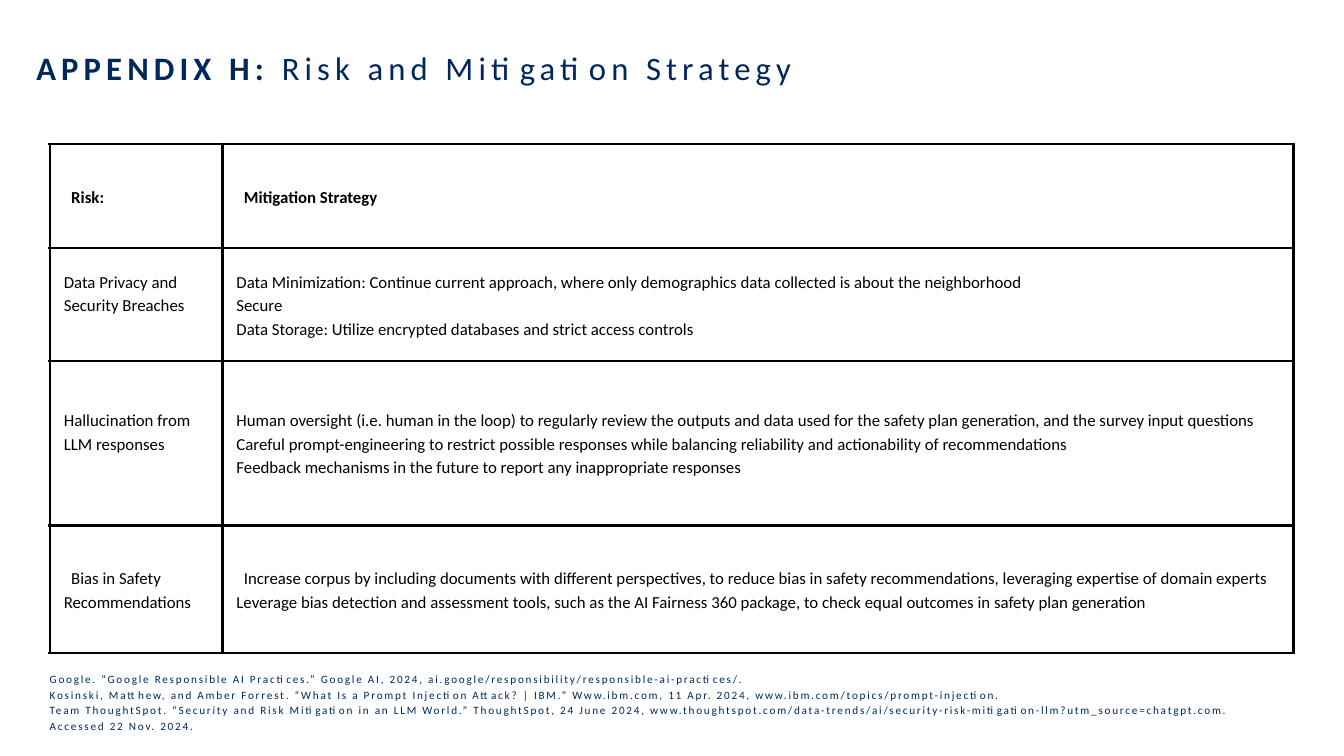
import pptx
import pptx.dml.color
import pptx.enum.text
import pptx.oxml
import pptx.util

PAGE_WIDTH, PAGE_HEIGHT = 20, 11.25
FONT = "Calibri"
NAVY, BLACK = "00285C", "000000"
DRAWING_NS = "http://schemas.openxmlformats.org/drawingml/2006/main"

# Regions as percentages of the slide: left, top, width, height
TITLE_BOX = (2.7, 5.51, 81.1, 5.69)
TABLE_BOX = (3.7, 19.02, 92.55, 67.38)
SOURCES_BOX = (3.7, 88.62, 90.65, 8.36)

# Risk table proportions and spacing
COLUMN_WEIGHTS = (2.57, 15.95)
ROW_WEIGHTS = (1.55, 1.68, 2.45, 1.9)
CELL_MARGIN = 0.21
LINE_PITCH = 25.2
FIRST_LINE_INDENT = 0.11
BORDER_POINTS = 3

RISKS = [
    ("Risk:", ["Mitigation Strategy"]),
    ("Data Privacy and Security Breaches", [
        "Data Minimization: Continue current approach, where only demographics data "
        "collected is about the neighborhood",
        "Secure",
        "Data Storage: Utilize encrypted databases and strict access controls",
    ]),
    ("Hallucination from LLM responses", [
        "Human oversight (i.e. human in the loop) to regularly review the outputs and data "
        "used for the safety plan generation, and the survey input questions",
        "Careful prompt-engineering to restrict possible responses while balancing "
        "reliability and actionability of recommendations",
        "Feedback mechanisms in the future to report any inappropriate responses",
    ]),
    ("Bias in Safety Recommendations", [
        "Increase corpus by including documents with different perspectives, to reduce bias "
        "in safety recommendations, leveraging expertise of domain experts",
        "Leverage bias detection and assessment tools, such as the AI Fairness 360 package, "
        "to check equal outcomes in safety plan generation",
    ]),
]
INDENTED_ROWS = (0, 3)
RAISED_LABEL_ROWS = (1, 2)

SOURCES = [
    "Google. “Google Responsible AI Practices.” Google AI, 2024, "
    "ai.google/responsibility/responsible-ai-practices/.",
    "Kosinski, Matthew, and Amber Forrest. “What Is a Prompt Injection Attack? | IBM.” "
    "Www.ibm.com, 11 Apr. 2024, www.ibm.com/topics/prompt-injection.",
    "Team ThoughtSpot. “Security and Risk Mitigation in an LLM World.” ThoughtSpot, "
    "24 June 2024, www.thoughtspot.com/data-trends/ai/"
    "security-risk-mitigation-llm?utm_source=chatgpt.com. Accessed 22 Nov. 2024.",
]


def color(value):
    return pptx.dml.color.RGBColor.from_string(value)


def place(box):
    """Turn a box in slide percentages into lengths."""
    sides = (PAGE_WIDTH, PAGE_HEIGHT, PAGE_WIDTH, PAGE_HEIGHT)
    return [pptx.util.Inches(share * side / 100) for share, side in zip(box, sides)]


def style_span(span, size, ink, bold=False, tracking=0):
    span.font.name = FONT
    span.font.size = pptx.util.Pt(size)
    span.font.bold = bold
    span.font.color.rgb = color(ink)
    if tracking:
        span._r.get_or_add_rPr().set("spc", str(round(tracking * 100)))


def add_text_frame(page, box):
    frame = page.shapes.add_textbox(*place(box)).text_frame
    frame.word_wrap = True
    frame.margin_left = frame.margin_right = 0
    frame.margin_top = frame.margin_bottom = 0
    return frame


def add_title(page, box):
    para = add_text_frame(page, box).paragraphs[0]
    para.line_spacing = pptx.util.Pt(49)
    for text, bold in (("APPENDIX H:", True), (" Risk and Mitigation Strategy", False)):
        span = para.add_run()
        span.text = text
        style_span(span, 35, NAVY, bold, 5.5)


def add_sources(page, box):
    frame = add_text_frame(page, box)
    frame.text = "\n".join(SOURCES)
    for para in frame.paragraphs:
        para.line_spacing = pptx.util.Pt(16.8)
        style_span(para.runs[0], 12, NAVY, tracking=1.9)


def set_borders(cell):
    properties = cell._tc.get_or_add_tcPr()
    width = pptx.util.Pt(BORDER_POINTS)
    for position, side in enumerate(("lnL", "lnR", "lnT", "lnB")):
        border = pptx.oxml.parse_xml(
            f'<a:{side} xmlns:a="{DRAWING_NS}" w="{width}"><a:solidFill>'
            f'<a:srgbClr val="{BLACK}"/></a:solidFill></a:{side}>')
        properties.insert(position, border)


def fill_cell(cell, lines, bold, indented, raised):
    margin = pptx.util.Inches(CELL_MARGIN)
    cell.margin_left = cell.margin_right = cell.margin_top = margin
    # A raised label leaves one line free beneath it
    cell.margin_bottom = margin + (pptx.util.Pt(LINE_PITCH) if raised else 0)
    cell.vertical_anchor = pptx.enum.text.MSO_ANCHOR.MIDDLE
    cell.fill.background()
    set_borders(cell)
    cell.text_frame.text = "\n".join(lines)
    for para in cell.text_frame.paragraphs:
        para.line_spacing = pptx.util.Pt(LINE_PITCH)
        style_span(para.runs[0], 18, BLACK, bold)
    if indented:
        properties = cell.text_frame.paragraphs[0]._p.get_or_add_pPr()
        properties.set("marL", "0")
        properties.set("indent", str(pptx.util.Inches(FIRST_LINE_INDENT)))


def add_risk_table(page, box):
    left, top, width, height = place(box)
    table = page.shapes.add_table(
        len(RISKS), len(COLUMN_WEIGHTS), left, top, width, height).table
    table.first_row = table.horz_banding = False
    for column, weight in zip(table.columns, COLUMN_WEIGHTS):
        column.width = round(width * weight / sum(COLUMN_WEIGHTS))
    for row, weight in zip(table.rows, ROW_WEIGHTS):
        row.height = round(height * weight / sum(ROW_WEIGHTS))
    for index, (risk, strategies) in enumerate(RISKS):
        header, indented = index == 0, index in INDENTED_ROWS
        fill_cell(table.cell(index, 0), [risk], header, indented, index in RAISED_LABEL_ROWS)
        fill_cell(table.cell(index, 1), strategies, header, indented, False)


def main():
    deck = pptx.Presentation()
    deck.slide_width = pptx.util.Inches(PAGE_WIDTH)
    deck.slide_height = pptx.util.Inches(PAGE_HEIGHT)
    page = deck.slides.add_slide(deck.slide_layouts[6])
    add_risk_table(page, TABLE_BOX)
    add_title(page, TITLE_BOX)
    add_sources(page, SOURCES_BOX)
    deck.save("out.pptx")


if __name__ == "__main__":
    main()
